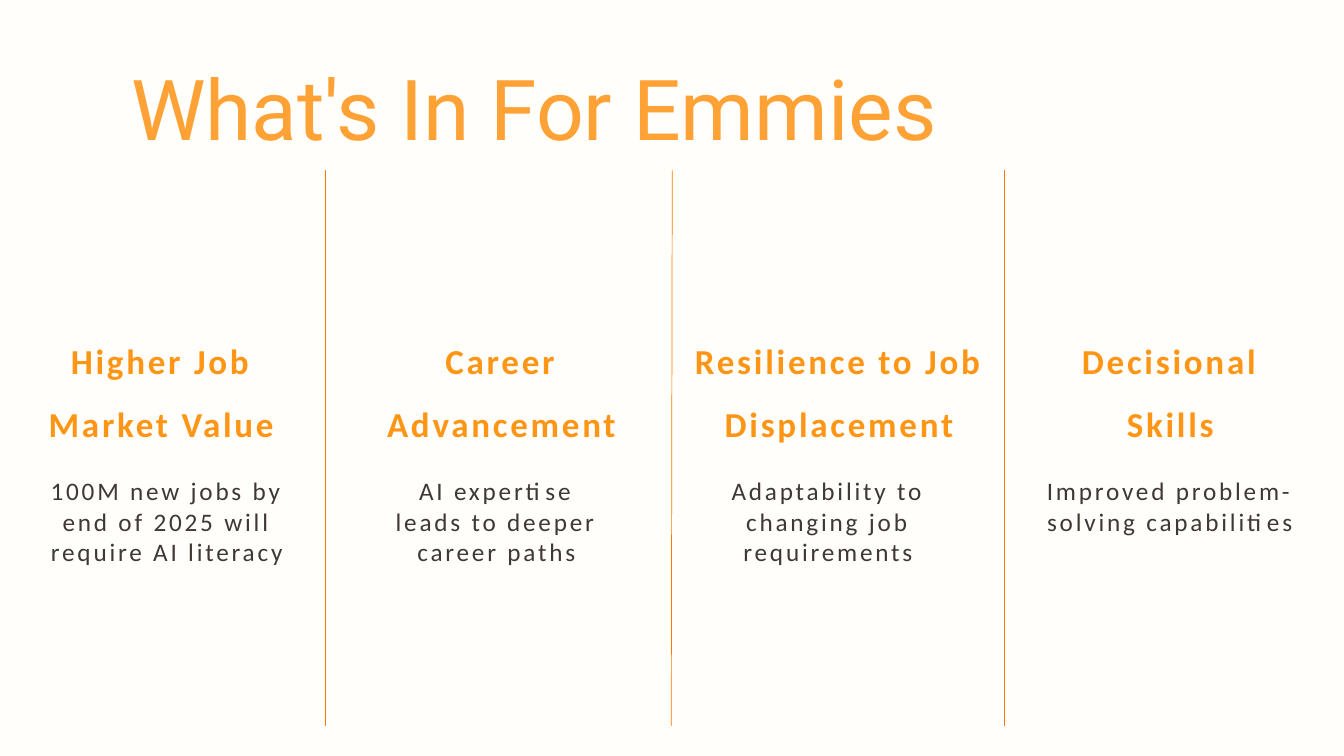
from itertools import pairwise
from lxml.etree import SubElement
from pptx import Presentation
from pptx.dml.color import RGBColor
from pptx.enum.shapes import MSO_CONNECTOR as Connector
from pptx.enum.text import MSO_ANCHOR as Anchor, MSO_AUTO_SIZE as AutoSize, PP_ALIGN as Align
from pptx.oxml.ns import qn
from pptx.util import Pt

SLIDE_WIDTH, SLIDE_HEIGHT = 960, 540
COLUMNS_TOP, COLUMNS_HEIGHT = 121.7, 396.7
DIVIDERS = [(232.6, 232.6), (480.2, 479.5), (717.1, 717.1)]
BENEFITS = [
    ("Higher Job Market Value", 16.6, 197.3,
     "100M new jobs by end of 2025 will require AI literacy", 16.6, 205.2),
    ("Career Advancement", 23, 205.2,
     "AI expertise leads to deeper career paths", 33.1, 177.8),
    ("Resilience to Job Displacement", -12.9, 264.2,
     "Adaptability to changing job requirements", 22.4, 177.8),
    ("Decisional Skills", 37.5, 162.7,
     "Improved problem-solving capabilities", 8.7, 219.6),
]


def color(hex_value):
    return RGBColor.from_string(hex_value)


def write(frame, text, size, fill, font="Calibri", bold=False, align=Align.CENTER,
          line_spacing=1, tracking=0):
    frame.word_wrap = True
    frame.vertical_anchor = Anchor.TOP
    paragraph = frame.paragraphs[0]
    paragraph.alignment = align
    paragraph.line_spacing = line_spacing
    paragraph.space_before = Pt(0)
    run = paragraph.add_run()
    run.text = text
    run.font.name = font
    run.font.size = Pt(size)
    run.font.bold = bold
    run.font.color.rgb = color(fill)
    if tracking:
        run.font._element.set("spc", str(tracking * 100))


def add_title(slide, left, top, width, height):
    title = slide.shapes.title
    title.left, title.top, title.width, title.height = map(Pt, (left, top, width, height))
    frame = title.text_frame
    frame.margin_left = frame.margin_right = frame.margin_top = frame.margin_bottom = 0
    frame.auto_size = AutoSize.NONE
    write(frame, "What's In For Emmies", size=60, fill="FFA236", font="Roboto", align=Align.LEFT)


def add_benefit(slide, left, top, benefit):
    heading, heading_inset, heading_width, detail, detail_inset, detail_width = benefit
    heading_box = slide.shapes.add_textbox(
        Pt(left + heading_inset), Pt(top + 102.2), Pt(heading_width), Pt(46.8))
    write(heading_box.text_frame, heading, size=25, fill="FF9515", bold=True,
          line_spacing=1.5, tracking=2)
    detail_box = slide.shapes.add_textbox(
        Pt(left + detail_inset), Pt(top + 214.5), Pt(detail_width), Pt(46.8))
    write(detail_box.text_frame, detail, size=18, fill="403833", tracking=2)


def add_divider(slide, top_x, bottom_x, top, height):
    divider = slide.shapes.add_connector(
        Connector.STRAIGHT, Pt(top_x), Pt(top), Pt(bottom_x), Pt(top + height))
    divider.line.color.rgb = color("FF7700")
    divider.line.width = Pt(0.5)
    SubElement(divider._element.spPr, qn("a:effectLst"))


def main():
    deck = Presentation()
    deck.slide_width, deck.slide_height = Pt(SLIDE_WIDTH), Pt(SLIDE_HEIGHT)
    slide = deck.slides.add_slide(deck.slide_layouts[5])
    background = slide.background.fill
    background.solid()
    background.fore_color.rgb = color("FFFEFB")

    add_title(slide, 93.6, 40.3, 794.2, 72.7)
    edges = [0, *(top_x for top_x, _ in DIVIDERS), SLIDE_WIDTH]
    for (left, _), benefit in zip(pairwise(edges), BENEFITS):
        add_benefit(slide, left, COLUMNS_TOP, benefit)
    for top_x, bottom_x in DIVIDERS:
        add_divider(slide, top_x, bottom_x, COLUMNS_TOP, COLUMNS_HEIGHT)
    deck.save("out.pptx")


if __name__ == "__main__":
    main()
